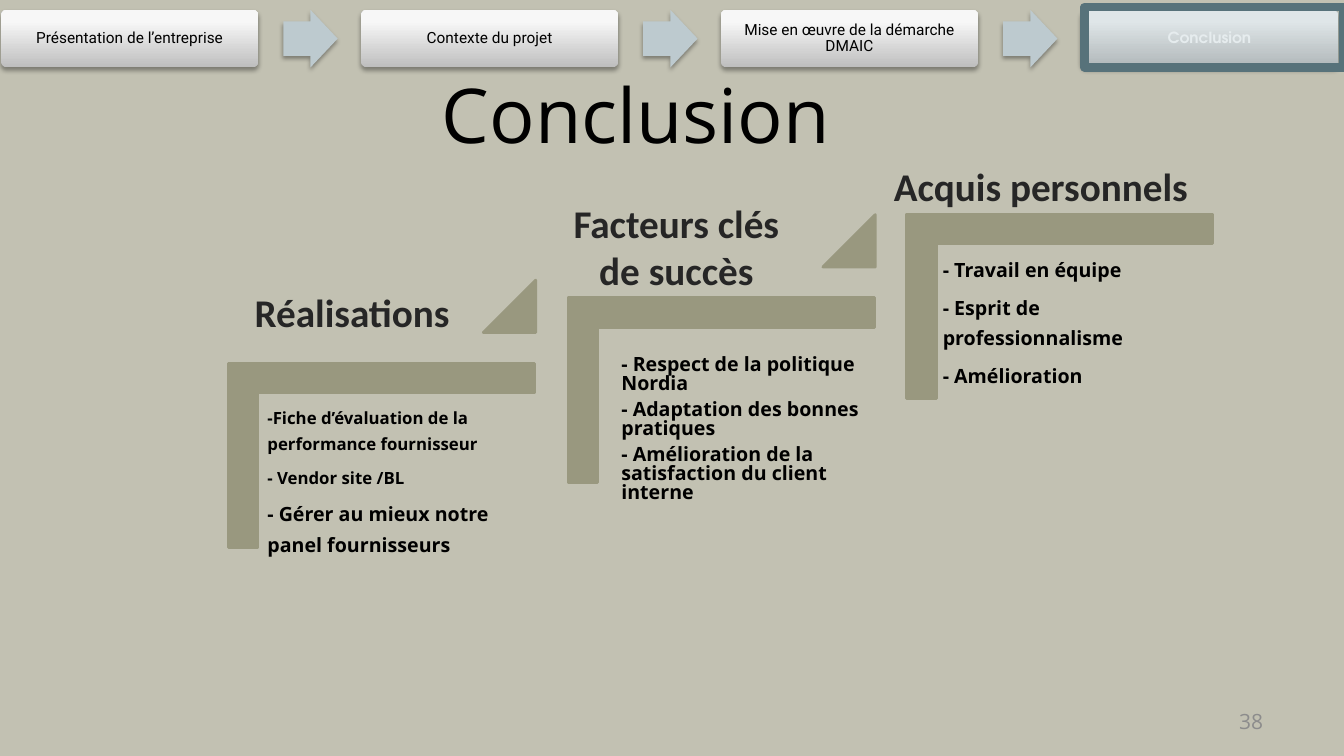
from lxml import etree
from pptx import Presentation
from pptx.dml.color import RGBColor
from pptx.enum.shapes import MSO_SHAPE
from pptx.enum.text import MSO_ANCHOR, PP_ALIGN
from pptx.oxml import parse_xml
from pptx.oxml.ns import nsdecls, qn
from pptx.util import Cm, Pt

C = {k: RGBColor.from_string(v) for k, v in {
    "background": "C2C1B2", "step": "99987F", "heading": "262626", "black": "000000",
    "white": "FFFFFF", "number": "8C8C8C", "arrow": "BDCACF", "tab_dark": "BEBEBE",
    "tab_light": "F7F7F7", "marker": "759AA5", "marker_line": "57727A"}.items()}
SHADOW = (f'<a:effectLst {nsdecls("a")}><a:outerShdw blurRad="39370" dist="22860" dir="5400000" '
          'rotWithShape="0"><a:srgbClr val="000000"><a:alpha val="35000"/></a:srgbClr>'
          '</a:outerShdw></a:effectLst>')

prs = Presentation()
prs.slide_width, prs.slide_height = Cm(33.87), Cm(19.05)
s = prs.slides.add_slide(prs.slide_layouts[5])
s.background.fill.solid()
s.background.fill.fore_color.rgb = C["background"]


def add_shape(kind, box, fill=None, line=None, width=2, adjustments=(), shadow=False):
    sp = s.shapes.add_shape(kind, *[Cm(v) for v in box])
    for i, value in enumerate(adjustments):
        sp.adjustments[i] = value
    if fill:
        sp.fill.solid()
        sp.fill.fore_color.rgb = C[fill]
    if line:
        sp.line.color.rgb = C[line]
        sp.line.width = Pt(width)
    else:
        sp.line.fill.background()
    sp.shadow.inherit = False
    if shadow:
        effects = sp._element.spPr.find(qn("a:effectLst"))
        effects.getparent().replace(effects, parse_xml(SHADOW))
    return sp


def write(sp, lines, font, color, bold=False, align=PP_ALIGN.LEFT, anchor=MSO_ANCHOR.TOP,
          inset=(0.25, 0.13), spacing=1.0, after=0):
    """Fill a shape with (text, size) paragraphs."""
    tf = sp.text_frame
    tf.word_wrap = True
    tf.vertical_anchor = anchor
    tf.margin_left = tf.margin_right = Cm(inset[0])
    tf.margin_top = tf.margin_bottom = Cm(inset[1])
    for i, (text, size) in enumerate(lines):
        p = tf.paragraphs[0] if i == 0 else tf.add_paragraph()
        p.alignment, p.line_spacing, p.space_after = align, spacing, Pt(after)
        r = p.add_run()
        r.text = text
        for name, value in {"name": font, "size": Pt(size), "bold": bold}.items():
            setattr(r.font, name, value)
        r.font.color.rgb = C[color]


title = s.shapes.title
title.left, title.top, title.width, title.height = Cm(3.33), Cm(1.7), Cm(25.4), Cm(2.49)
write(title, [("Conclusion", 54)], "Open Sans", "black", align=PP_ALIGN.CENTER,
      anchor=MSO_ANCHOR.BOTTOM, inset=(0.33, 0.15), spacing=0.9)

number = s.shapes.add_textbox(Cm(24.26), Cm(17.65), Cm(7.9), Cm(1.02))
write(number, [("38", 15)], "Open Sans", "number", align=PP_ALIGN.RIGHT,
      anchor=MSO_ANCHOR.MIDDLE, inset=(0.33, 0.15))

# Staircase: corner position, body box, body lines, line spacing, heading box, heading
steps = [
    ((7.29, 7.62), (6.6, 9.98, 6.78, 6.05),
     [("-Fiche d’évaluation de la performance fournisseur", 12), ("- Vendor site /BL", 12),
      ("- Gérer au mieux notre panel fournisseurs", 14)],
     1.31, (6.12, 7.14, 5.51, 1.45), "Réalisations"),
    ((15.85, 5.97), (15.52, 8.84, 6.99, 5.21),
     [("- Respect de la politique Nordia", 14), ("- Adaptation des bonnes pratiques", 14),
      ("- Amélioration de la satisfaction du client interne", 14)],
     0.81, (14.02, 4.9, 6.05, 2.64), "Facteurs clés de succès"),
    ((24.38, 3.86), (23.62, 6.17, 6.99, 6.12),
     [("- Travail en équipe", 14), ("- Esprit de professionnalisme", 14), ("- Amélioration", 14)],
     1.31, (22.23, 3.96, 8, 1.45), "Acquis personnels"),
]
for i, ((x, y), body_box, lines, spacing, heading_box, heading) in enumerate(steps):
    corner = add_shape(MSO_SHAPE.CORNER, (x, y, 4.65, 7.72), "step", "step",
                       adjustments=(0.161, 0.161))
    corner.rotation = 90
    body = s.shapes.add_textbox(*[Cm(v) for v in body_box])
    write(body, lines, "Open Sans", "black", True, inset=(0.14, 0.14), spacing=spacing, after=5)
    if i < len(steps) - 1:
        add_shape(MSO_SHAPE.ISOSCELES_TRIANGLE, (x + 4.89, y - 0.56, 1.32, 1.32), "step", "step",
                  adjustments=(1,))
    box = s.shapes.add_textbox(*[Cm(v) for v in heading_box])
    write(box, [(heading, 28)], "Calibri", "heading", True, PP_ALIGN.CENTER)

# Navigation bar
tabs = ["Présentation de l’entreprise", "Contexte du projet",
        "Mise en œuvre de la démarche DMAIC", "Conclusion"]
for i, label in enumerate(tabs):
    x = 0.03 + 9.07 * i
    current = i == len(tabs) - 1
    tab = add_shape(MSO_SHAPE.ROUNDED_RECTANGLE, (x, 0.25, 6.48, 1.45), adjustments=(0.1,),
                    shadow=True)
    tab.fill.gradient()
    tab.fill.gradient_angle = 90
    for stop, color, position in zip(tab.fill.gradient_stops, ("tab_dark", "tab_light"), (0, 0.8)):
        stop.color.rgb = C[color]
        stop.position = position
    write(tab, [(label, 11)], "TeX Gyre Adventor" if current else "Roboto",
          "white" if current else "black", current, PP_ALIGN.CENTER, MSO_ANCHOR.MIDDLE,
          (0.13, 0.13), 0.9)
    if not current:
        add_shape(MSO_SHAPE.RIGHT_ARROW, (x + 7.11, 0.25, 1.37, 1.45), "arrow",
                  adjustments=(0.6, 0.5), shadow=True)

marker = add_shape(MSO_SHAPE.RECTANGLE, (27.33, 0.18, 6.53, 1.52), "marker", "marker_line", 6)
tint = marker._element.spPr.find(qn("a:solidFill"))[0]
etree.SubElement(tint, qn("a:alpha"), val="18000")

prs.save("out.pptx")
